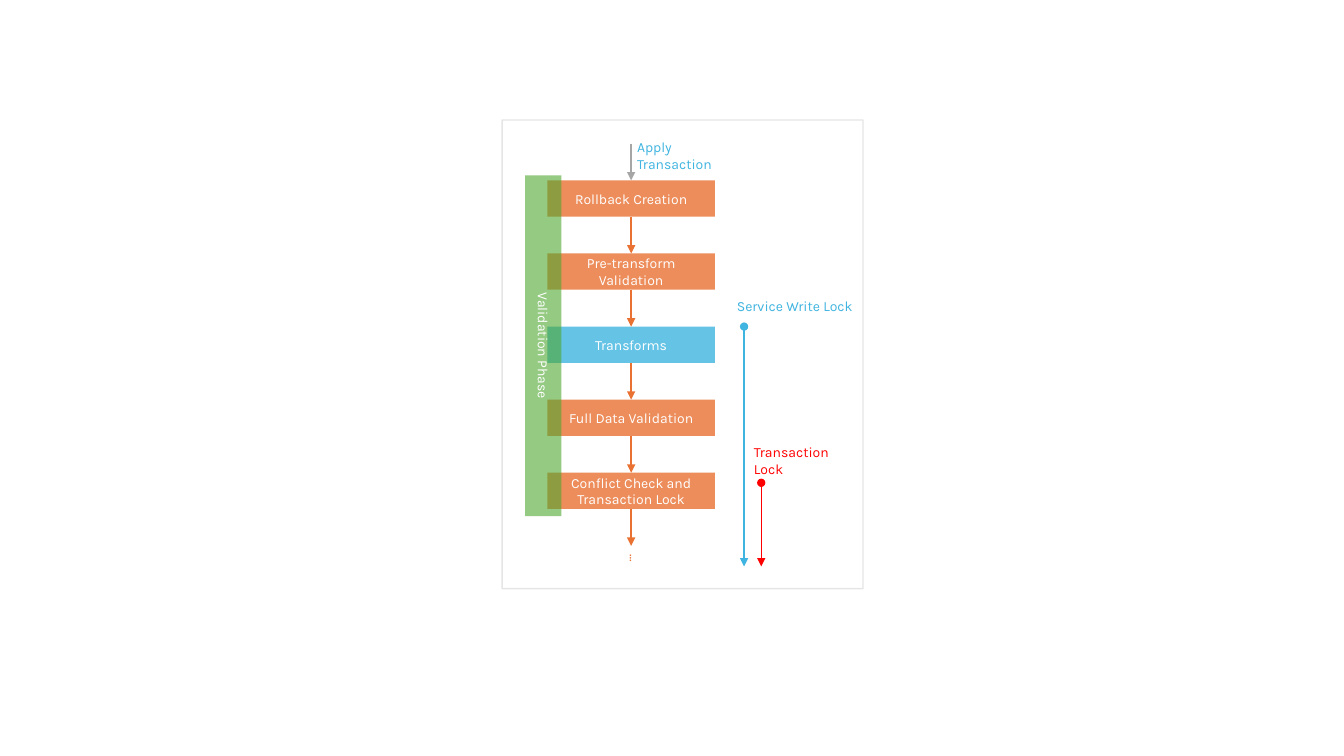
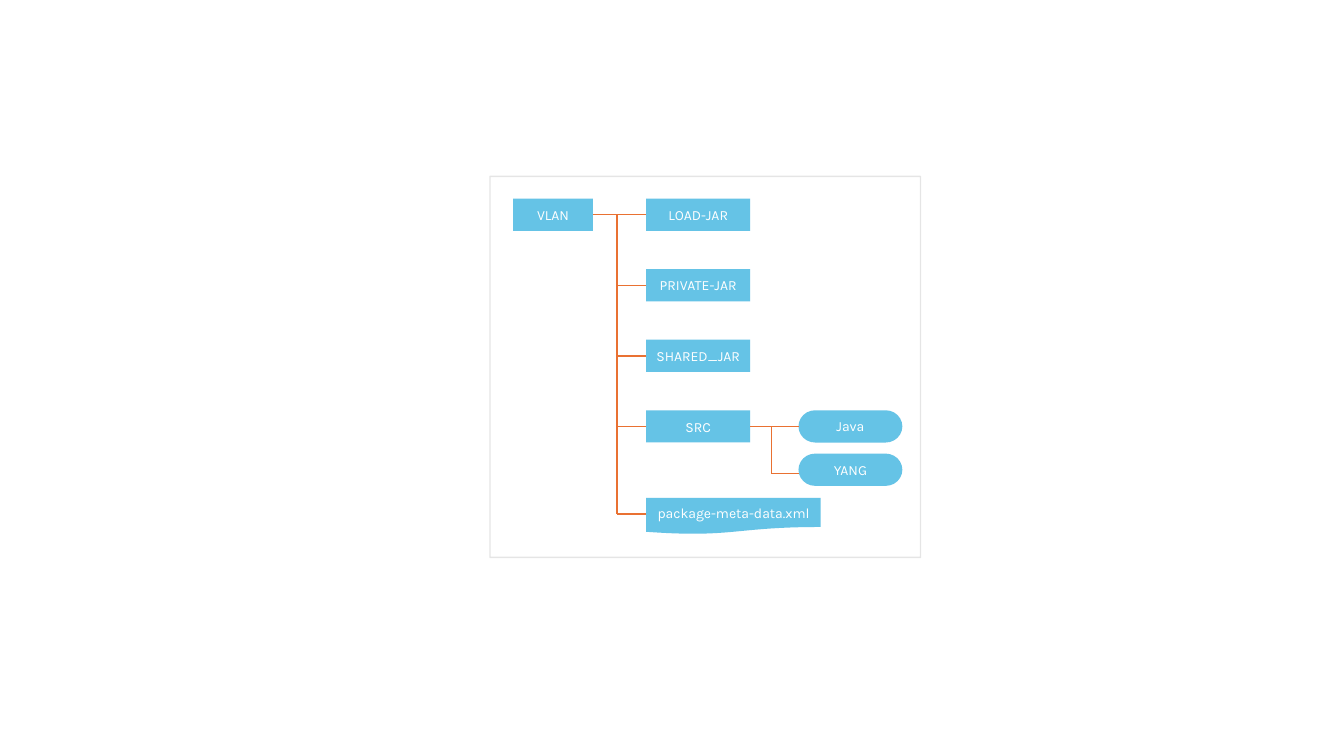
import pptx
import pptx.dml.color
import pptx.enum.shapes
import pptx.enum.text
import pptx.oxml
import pptx.oxml.ns
import pptx.util

RGBColor = pptx.dml.color.RGBColor
Inches = pptx.util.Inches
Shapes = pptx.enum.shapes.MSO_SHAPE
Align = pptx.enum.text.PP_ALIGN
qn = pptx.oxml.ns.qn

ORANGE = RGBColor(0xE9, 0x71, 0x32)
BLUE = RGBColor(0x3F, 0xB4, 0xE0)
GREEN = RGBColor(0x4E, 0xA7, 0x2E)
RED = RGBColor(0xFF, 0x00, 0x00)
SILVER = RGBColor(0xA6, 0xA6, 0xA6)
GREY = RGBColor(0x80, 0x80, 0x80)
WHITE = RGBColor(0xFF, 0xFF, 0xFF)

FONT, TEXT_SIZE, LINE_WIDTH = "Karla", 10, 1
TOP, LEFT, BOTTOM, RIGHT = range(4)

# Validation flow: one column of equally spaced steps
STEP_LEFT, STEP_TOP, STEP_WIDTH, STEP_HEIGHT = 5.43, 1.79, 1.66, 0.36
STEP_PITCH = 0.725
STEP_GAP = STEP_PITCH - STEP_HEIGHT
STEP_MIDDLE = STEP_LEFT + STEP_WIDTH / 2
LOCK_END = 5.62

# Package tree: three columns of nodes
ROOT_LEFT, FOLDER_LEFT, LEAF_LEFT = 5.09, 6.41, 7.92
NODE_TOP, NODE_WIDTH, NODE_HEIGHT, NODE_PITCH = 1.97, 1.03, 0.32, 0.7
TRUNK_X, SOURCE_TRUNK_X = 6.12, 7.65
YANG_Y, FILE_Y = 4.7, 5.1


def add_xml(parent, tag, **attributes):
    element = pptx.oxml.parse_xml(f"<a:{tag} {pptx.oxml.ns.nsdecls('a')}/>")
    for name, value in attributes.items():
        element.set(name, value)
    parent.append(element)


def set_opacity(shape, percent):
    """Apply opacity to the only colour of a shape's fill or outline."""
    colour = next(shape.element.spPr.iter(qn("a:srgbClr")))
    add_xml(colour, "alpha", val=str(percent * 1000))


def write(shape, lines, colour, align):
    frame = shape.text_frame
    frame.word_wrap = True
    for index, line in enumerate(lines):
        para = frame.add_paragraph() if index else frame.paragraphs[0]
        para.alignment = align
        span = para.add_run()
        span.text = line
        span.font.name = FONT
        span.font.size = pptx.util.Pt(TEXT_SIZE)
        span.font.color.rgb = colour


def add_panel(page, left, top, width, height):
    panel = page.shapes.add_shape(Shapes.RECTANGLE, *map(Inches, (left, top, width, height)))
    panel.shadow.inherit = False
    panel.fill.background()
    panel.line.color.rgb = GREY
    panel.line.width = pptx.util.Pt(LINE_WIDTH)
    set_opacity(panel, 20)


def add_box(page, text, left, top, width, height, colour=BLUE, kind=Shapes.RECTANGLE, opacity=80):
    box = page.shapes.add_shape(kind, *map(Inches, (left, top, width, height)))
    box.shadow.inherit = False
    box.fill.solid()
    box.fill.fore_color.rgb = colour
    box.line.fill.background()
    set_opacity(box, opacity)
    box.text_frame.vertical_anchor = pptx.enum.text.MSO_ANCHOR.MIDDLE
    write(box, [text], WHITE, Align.CENTER)
    return box


def add_label(page, lines, left, top, width, height, colour):
    label = page.shapes.add_textbox(*map(Inches, (left, top, width, height)))
    label.text_frame.auto_size = pptx.enum.text.MSO_AUTO_SIZE.SHAPE_TO_FIT_TEXT
    write(label, lines, colour, Align.LEFT)
    return label


def add_line(page, start, end, colour=ORANGE, head=None, tail=None):
    """Draw a line; each end is an (x, y) point or a (box, side) pair to join."""
    ends = (start, end)
    joined = [not isinstance(place[0], (int, float)) for place in ends]
    points = [(0, 0) if join else place for place, join in zip(ends, joined)]
    line = page.shapes.add_connector(
        pptx.enum.shapes.MSO_CONNECTOR.STRAIGHT, *(Inches(value) for point in points for value in point)
    )
    for place, join, connect in zip(ends, joined, (line.begin_connect, line.end_connect)):
        if join:
            connect(*place)
    line.line.color.rgb = colour
    line.line.width = pptx.util.Pt(LINE_WIDTH)
    properties = line.element.spPr
    for tag, kind in (("headEnd", head), ("tailEnd", tail)):
        if kind:
            add_xml(properties.find(qn("a:ln")), tag, type=kind)
    add_xml(properties, "effectLst")


def draw_validation_flow(page):
    add_panel(page, 4.98, 1.19, 3.58, 4.65)
    steps = [
        ("Rollback Creation", ORANGE),
        ("Pre-transform Validation", ORANGE),
        ("Transforms", BLUE),
        ("Full Data Validation", ORANGE),
        ("Conflict Check and Transaction Lock", ORANGE),
    ]
    boxes = [
        add_box(page, text, STEP_LEFT, STEP_TOP + row * STEP_PITCH, STEP_WIDTH, STEP_HEIGHT, colour)
        for row, (text, colour) in enumerate(steps)
    ]
    for upper, lower in zip(boxes, boxes[1:]):
        add_line(page, (upper, BOTTOM), (lower, TOP), tail="triangle")

    for x, top, colour in ((7.38, STEP_TOP + 2 * STEP_PITCH, BLUE), (7.55, 4.79, RED)):
        add_line(page, (x, top), (x, LOCK_END), colour, head="oval", tail="triangle")
    add_label(page, ["Service Write Lock"], 7.21, 2.9, 1.35, 0.27, BLUE)
    add_label(page, ["Transaction Lock"], 7.38, 4.35, 1.17, 0.44, RED)
    add_label(page, ["Apply", "Transaction"], 6.22, 1.33, 0.97, 0.44, BLUE)

    phase = add_box(page, "Validation Phase", 5.21, 1.74, 0.36, 3.38, GREEN, opacity=60)
    phase.text_frame._txBody.bodyPr.set("vert", "vert")

    add_line(page, (STEP_MIDDLE, STEP_TOP - STEP_GAP), (boxes[0], TOP), SILVER, tail="triangle")
    flow_end = STEP_TOP + len(steps) * STEP_PITCH
    add_line(page, (boxes[-1], BOTTOM), (STEP_MIDDLE, flow_end), tail="triangle")
    add_label(page, ["…"], 6.15, flow_end, 0.3, 0.27, ORANGE).rotation = 90


def draw_package_tree(page):
    add_panel(page, 4.86, 1.75, 4.27, 3.78)
    root = add_box(page, "VLAN", ROOT_LEFT, NODE_TOP, 0.79, NODE_HEIGHT)
    folders = [
        add_box(page, text, FOLDER_LEFT, NODE_TOP + row * NODE_PITCH, NODE_WIDTH, NODE_HEIGHT)
        for row, text in enumerate(("LOAD-JAR", "PRIVATE-JAR", "SHARED_JAR", "SRC"))
    ]
    source = folders[-1]
    java, _ = [
        add_box(page, text, LEAF_LEFT, top, NODE_WIDTH, NODE_HEIGHT, kind=Shapes.FLOWCHART_TERMINATOR)
        for text, top in (("Java", 4.07), ("YANG", 4.5))
    ]
    add_box(page, "package-meta-data.xml", FOLDER_LEFT, 4.94, 1.73, 0.36, kind=Shapes.FLOWCHART_DOCUMENT)

    first_y = NODE_TOP + NODE_HEIGHT / 2
    source_y = first_y + 3 * NODE_PITCH
    add_line(page, (root, RIGHT), (folders[0], LEFT))
    add_line(page, (TRUNK_X, first_y), (TRUNK_X, FILE_Y))
    for row, folder in enumerate(folders[1:], start=1):
        add_line(page, (folder, LEFT), (TRUNK_X, first_y + row * NODE_PITCH))
    add_line(page, (FOLDER_LEFT, FILE_Y), (TRUNK_X, FILE_Y))
    add_line(page, (source, RIGHT), (java, LEFT))
    add_line(page, (SOURCE_TRUNK_X, source_y), (SOURCE_TRUNK_X, YANG_Y))
    add_line(page, (LEAF_LEFT, YANG_Y), (SOURCE_TRUNK_X, YANG_Y))


def main():
    deck = pptx.Presentation()
    deck.slide_width, deck.slide_height = Inches(13.33), Inches(7.5)
    for draw in (draw_validation_flow, draw_package_tree):
        draw(deck.slides.add_slide(deck.slide_layouts[6]))
    deck.save("out.pptx")


if __name__ == "__main__":
    main()
